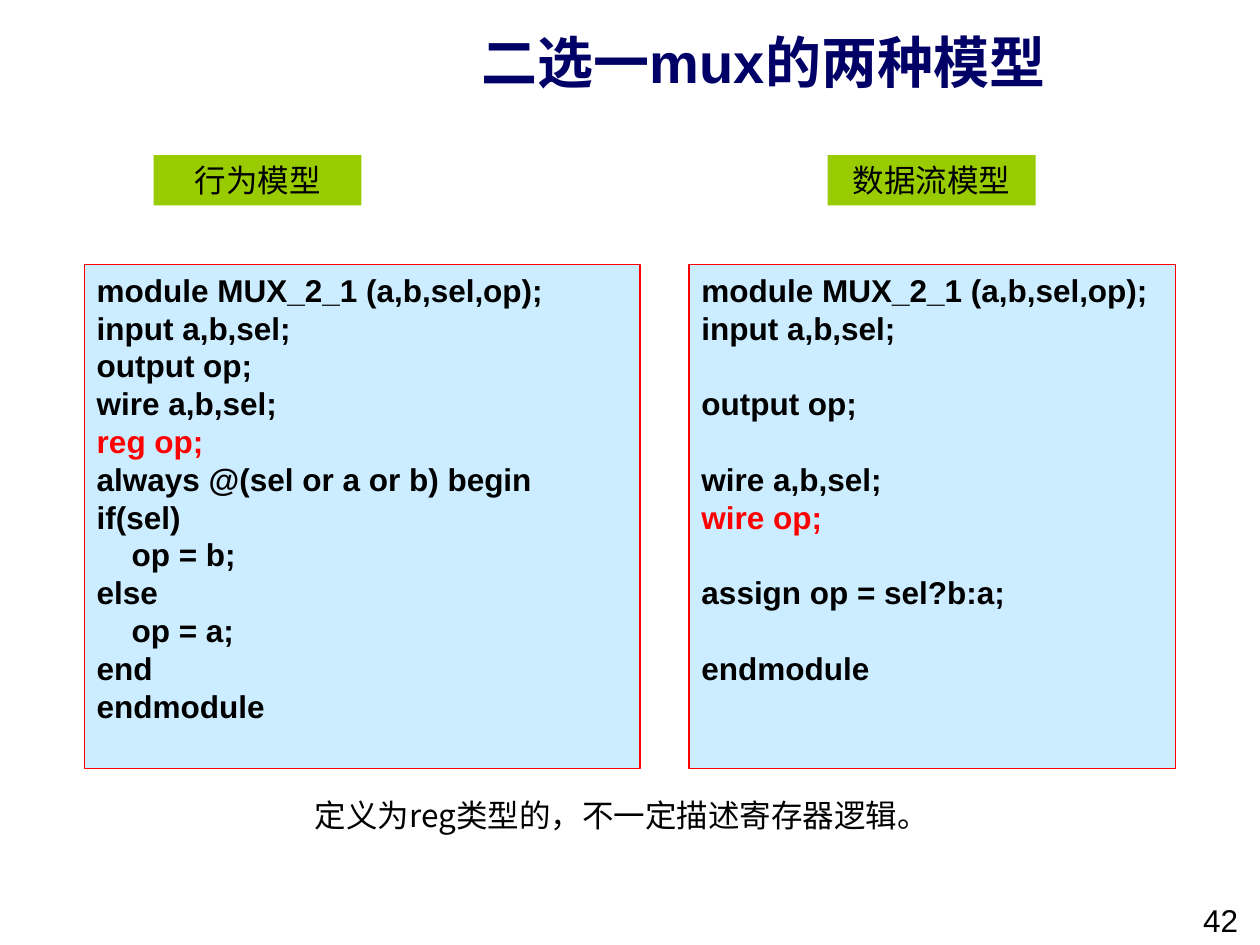
from dataclasses import dataclass

from lxml.etree import SubElement
from pptx import Presentation
from pptx.dml.color import RGBColor
from pptx.enum.shapes import MSO_SHAPE
from pptx.enum.text import MSO_ANCHOR, PP_ALIGN
from pptx.oxml.ns import qn
from pptx.slide import Slide
from pptx.util import Pt

BLACK = RGBColor(0x00, 0x00, 0x00)
NAVY = RGBColor(0x00, 0x00, 0x66)
RED = RGBColor(0xFF, 0x00, 0x00)
GREEN = RGBColor(0x99, 0xCC, 0x00)
PALE_BLUE = RGBColor(0xCC, 0xEC, 0xFF)

BEHAVIOUR_CODE = """module MUX_2_1 (a,b,sel,op);
input a,b,sel;
output op;
wire a,b,sel;
reg op;
always @(sel or a or b) begin
if(sel)
    op = b;
else
    op = a;
end
endmodule"""

DATAFLOW_CODE = """module MUX_2_1 (a,b,sel,op);
input a,b,sel;

output op;

wire a,b,sel;
wire op;

assign op = sel?b:a;

endmodule"""


@dataclass
class SlideBuilder:
    slide: Slide
    latin_font: str = "Arial"
    chinese_font: str = "Noto Sans CJK SC"
    text_size: float = 18
    code_pitch: float = 21.6

    def fill_paragraph(self, paragraph, text, alignment=PP_ALIGN.LEFT, **changes):
        paragraph.alignment = alignment
        run = paragraph.add_run()
        run.text = text
        values = {"name": self.latin_font, "size": Pt(self.text_size), "bold": False}
        color = changes.pop("color", BLACK)
        for name, value in (values | changes).items():
            setattr(run.font, name, value)
        run.font.color.rgb = color
        east_asian = SubElement(run.font._element, qn("a:ea"))
        east_asian.set("typeface", self.chinese_font)

    def text(self, box, text, anchor=MSO_ANCHOR.TOP, **format_values):
        frame = self.slide.shapes.add_textbox(*map(Pt, box)).text_frame
        frame.word_wrap = True
        frame.vertical_anchor = anchor
        self.fill_paragraph(frame.paragraphs[0], text, **format_values)

    def rectangle(self, box, fill, line=None, anchor=MSO_ANCHOR.TOP):
        shape = self.slide.shapes.add_shape(MSO_SHAPE.RECTANGLE, *map(Pt, box))
        shape.shadow.inherit = False
        shape.fill.solid()
        shape.fill.fore_color.rgb = fill
        if line is None:
            shape.line.fill.background()
        else:
            shape.line.color.rgb = line
            shape.line.width = Pt(0.75)
        shape.text_frame.word_wrap = True
        shape.text_frame.vertical_anchor = anchor
        return shape.text_frame

    def label(self, box, text):
        frame = self.rectangle(box, GREEN, anchor=MSO_ANCHOR.MIDDLE)
        self.fill_paragraph(frame.paragraphs[0], text, PP_ALIGN.CENTER)

    def code(self, box, source, highlight):
        frame = self.rectangle(box, PALE_BLUE, RED)
        paragraph = frame.paragraphs[0]
        gap = 0
        for number, line in enumerate(source.splitlines()):
            if not line:
                gap += self.code_pitch
                continue
            if number:
                paragraph = frame.add_paragraph()
            paragraph.line_spacing = Pt(self.code_pitch)
            paragraph.space_before = Pt(gap)
            gap = 0
            color = RED if line == highlight else BLACK
            self.fill_paragraph(paragraph, line, bold=True, color=color)


def main():
    presentation = Presentation()
    presentation.slide_width, presentation.slide_height = Pt(720), Pt(540)
    builder = SlideBuilder(presentation.slides.add_slide(presentation.slide_layouts[6]))

    # Title and page number
    builder.text((178.6, 5, 515.5, 59.8), "二选一mux的两种模型", MSO_ANCHOR.MIDDLE,
                 alignment=PP_ALIGN.CENTER, size=Pt(32), bold=True, color=NAVY)
    builder.text((680.4, 511.2, 39.6, 28.8), "42")

    # The two models: label above code
    models = [
        ("行为模型", 87.8, BEHAVIOUR_CODE, 48.2, 317.5, "reg op;"),
        ("数据流模型", 473, DATAFLOW_CODE, 393.8, 277.9, "wire op;"),
    ]
    for name, label_left, source, code_left, code_width, highlight in models:
        builder.code((code_left, 151.2, code_width, 288), source, highlight)
        builder.label((label_left, 88.6, 118.8, 28.8), name)

    # Closing remark
    builder.text((172.8, 451.4, 380.2, 28.8), "定义为reg类型的，不一定描述寄存器逻辑。",
                 name=builder.chinese_font)

    presentation.save("out.pptx")


if __name__ == "__main__":
    main()
